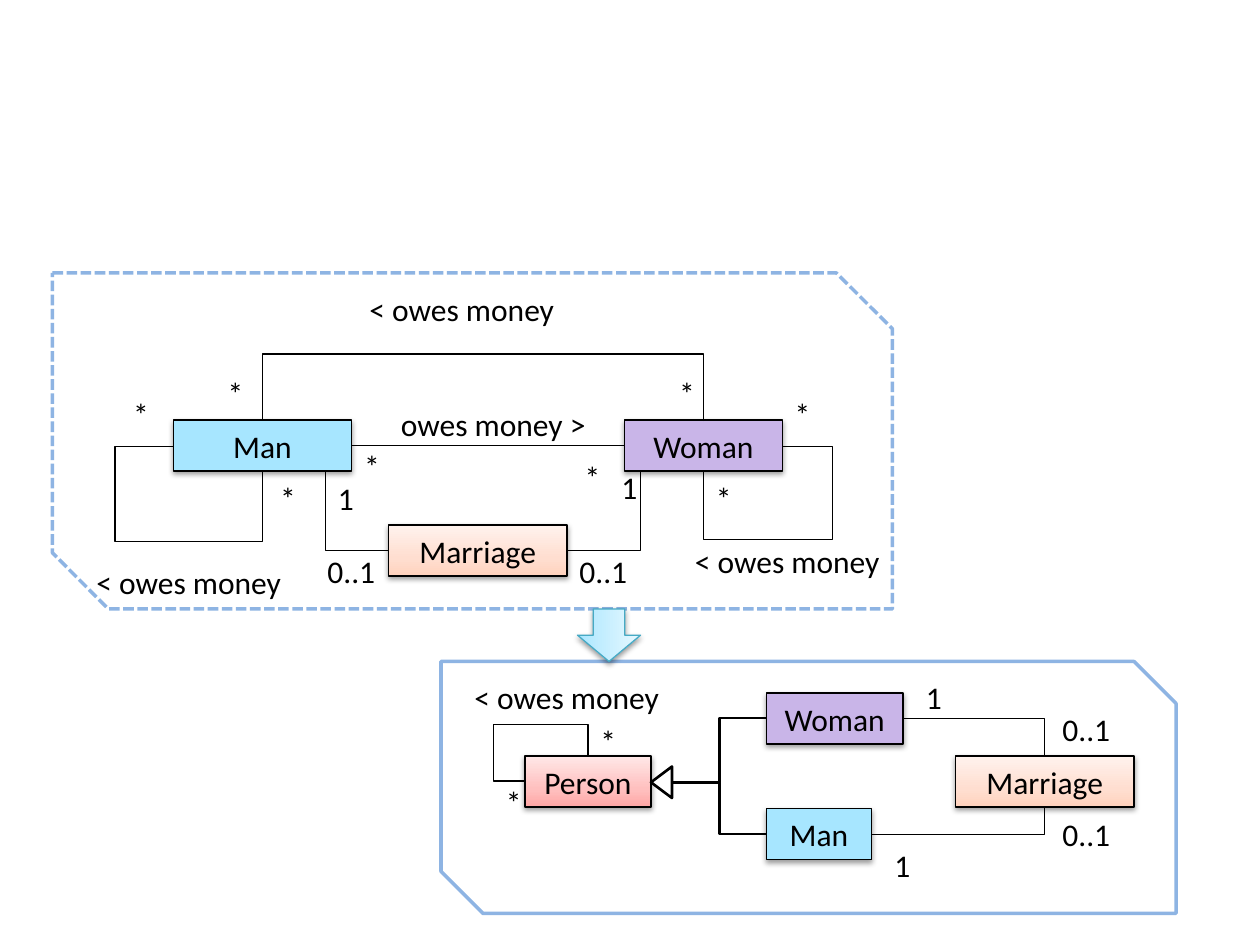
import copy

import pptx
import pptx.util
from lxml import etree
from pptx.dml.color import RGBColor
from pptx.enum.dml import MSO_LINE
from pptx.enum.shapes import MSO_CONNECTOR, MSO_SHAPE
from pptx.enum.text import MSO_ANCHOR, PP_ALIGN
from pptx.oxml.ns import qn

COLORS = {
    "ink": "000000", "paper": "FFFFFF", "frame": "8EB4E3",
    "man": "A7E6FF", "woman": "C9B5E8", "arrow line": "46AAC5",
}
GRADIENTS = {
    "marriage": ("FFD2BD", "FFDED0", "FFF2ED"),
    "person": ("FFA6A5", "FFC0BF", "FFE7E7"),
    "arrow": ("A7E6FF", "C1EDFF", "E7F8FF"),
}
STOPS = (0, 0.35, 1)

# All positions are in grid cells: 240 columns by 180 rows on the slide.
COLUMNS, ROWS = 240, 180
BOX_H = 9.7

# left, top, width, height, dash
PANELS = [(84, 126, 140, 48, None), (10, 52, 160, 64, MSO_LINE.SQUARE_DOT)]

# key: text, fill, left, top, width
CLASSES = {
    "man before": ("Man", "man", 33, 80, 34),
    "woman before": ("Woman", "woman", 119, 80, 30),
    "marriage before": ("Marriage", "marriage", 74, 100, 34),
    "person": ("Person", "person", 100, 144, 24),
    "man after": ("Man", "man", 146, 154, 20),
    "woman after": ("Woman", "woman", 146, 132, 26),
    "marriage after": ("Marriage", "marriage", 182, 144, 34),
}

# line width, corner points from start to end
ROUTES = [
    (0.75, [(134, 80.2), (134, 67.3), (50, 67.3), (50, 80)]),
    (0.75, [(50, 89.7), (50, 103.2), (21.9, 103.2), (21.9, 85), (33, 85)]),
    (0.75, [(149, 85), (158.6, 85), (158.6, 102.8), (134, 102.8), (134, 89.7)]),
    (0.75, [(74, 104.9), (62, 104.9), (62, 90)]),
    (0.75, [(108, 104.9), (122, 104.9), (122, 90)]),
    (1.5, [(128, 149), (137, 149), (137, 158.9), (146, 158.9)]),
    (1.5, [(128, 149), (137, 149), (137, 136.8), (146, 136.8)]),
    (0.75, [(199, 153.7), (199, 158.9), (166, 158.9)]),
    (0.75, [(199, 144), (199, 136.8), (172, 136.8)]),
    (0.75, [(100, 148.8), (94, 148.8), (94, 138), (112, 138), (112, 144)]),
]

# text, width, (left, top) of each label
LABELS = [
    ("owes money >", 56, [(74, 76)]),
    ("< owes money", 51, [(68, 54), (130, 102), (16, 106), (88, 128)]),
    ("*", 8, [(109, 86), (149, 74), (134, 90), (127, 70), (67, 84), (51, 90),
              (41, 70), (23, 74), (112, 136.4), (94, 148)]),
    ("1", 8, [(174, 128), (168, 160), (116, 88), (62, 90)]),
    ("0..1", 14, [(108, 104), (60, 104), (200, 134), (200, 154)]),
]

prs = pptx.Presentation()
prs.slide_width, prs.slide_height = pptx.util.Inches(10), pptx.util.Inches(7.5)
CELL = prs.slide_width / COLUMNS
slide = prs.slides.add_slide(prs.slide_layouts[6])
shapes = slide.shapes


def cells(*values):
    return [round(v * CELL) for v in values]


def rgb(name):
    return RGBColor.from_string(COLORS[name])


def paint(sp, fill, line, width):
    sp.shadow.inherit = False
    if fill in GRADIENTS:
        sp.fill.gradient()
        sp.fill.gradient_angle = 90
        stops = sp._element.spPr.find(".//" + qn("a:gsLst"))
        stops.insert(1, copy.deepcopy(stops[0]))
        for stop, position, color in zip(sp.fill.gradient_stops, STOPS, GRADIENTS[fill]):
            stop.position = position
            stop.color.rgb = RGBColor.from_string(color)
    else:
        sp.fill.solid()
        sp.fill.fore_color.rgb = rgb(fill)
    sp.line.color.rgb = rgb(line)
    sp.line.width = pptx.util.Pt(width)


def drop_shadow(sp):
    effects = sp._element.spPr.find(qn("a:effectLst"))
    shadow = etree.SubElement(effects, qn("a:outerShdw"), blurRad="40000", dist="20000",
                              dir="5400000", rotWithShape="0")
    color = etree.SubElement(shadow, qn("a:srgbClr"), val=COLORS["ink"])
    etree.SubElement(color, qn("a:alpha"), val="38000")


def write(sp, text):
    tf = sp.text_frame
    tf.word_wrap = True
    p = tf.paragraphs[0]
    p.text = text
    p.font.name, p.font.size = "Calibri", pptx.util.Pt(18)
    p.font.color.rgb = rgb("ink")
    return tf


def connect(kind, start, end, width):
    c = shapes.add_connector(kind, *cells(*start, *end))
    c.line.color.rgb = rgb("ink")
    c.line.width = pptx.util.Pt(width)
    etree.SubElement(c._element.spPr, qn("a:effectLst"))
    return c


def elbow(points, width):
    """Bent connector through the given corners; its preset follows from their number."""
    start, end = points[0], points[-1]
    c = connect(MSO_CONNECTOR.ELBOW, start, end, width)
    geom = c._element.spPr.find(qn("a:prstGeom"))
    geom.set("prst", f"bentConnector{len(points) - 1}")
    first = 0 if start[1] == points[1][1] else 1
    guides = geom.find(qn("a:avLst"))
    if guides is None:
        guides = etree.SubElement(geom, qn("a:avLst"))
    for i, corner in enumerate(points[1:-2]):
        axis = (first + i) % 2
        share = (corner[axis] - start[axis]) / (end[axis] - start[axis])
        etree.SubElement(guides, qn("a:gd"), name=f"adj{i + 1}",
                         fmla=f"val {round(share * 100000)}")
        if i == 1:
            break
    if first == 1:  # leaves vertically: same preset turned by a quarter
        dx, dy = end[0] - start[0], end[1] - start[1]
        mid_x, mid_y = (start[0] + end[0]) / 2, (start[1] + end[1]) / 2
        w, h = abs(dy), abs(dx)
        c.left, c.top, c.width, c.height = cells(mid_x - w / 2, mid_y - h / 2, w, h)
        xfrm = c._element.spPr.find(qn("a:xfrm"))
        xfrm.set("rot", "5400000")
        xfrm.set("flipH", str(int(dy < 0)))
        xfrm.set("flipV", str(int(dx > 0)))


for *place, dash in PANELS:
    panel = shapes.add_shape(MSO_SHAPE.SNIP_2_DIAG_RECTANGLE, *cells(*place))
    paint(panel, "paper", "frame", 2)
    if dash:
        panel.line.dash_style = dash

boxes = {}
for key, (text, fill, left, top, width) in CLASSES.items():
    sp = boxes[key] = shapes.add_shape(MSO_SHAPE.RECTANGLE, *cells(left, top, width, BOX_H))
    paint(sp, fill, "ink", 0.75)
    drop_shadow(sp)
    tf = write(sp, text)
    tf.vertical_anchor = MSO_ANCHOR.MIDDLE
    tf.paragraphs[0].alignment = PP_ALIGN.CENTER

owes = connect(MSO_CONNECTOR.STRAIGHT, (67, 85), (119, 85), 0.75)
owes.begin_connect(boxes["man before"], 3)
owes.end_connect(boxes["woman before"], 1)
for width, points in ROUTES:
    elbow(points, width)

triangle = shapes.add_shape(MSO_SHAPE.ISOSCELES_TRIANGLE, *cells(123, 147, 6, 4))
triangle.rotation = 270
paint(triangle, "paper", "ink", 1.5)

for text, width, places in LABELS:
    for left, top in places:
        write(shapes.add_textbox(*cells(left, top, width, BOX_H)), text)

arrow = shapes.add_shape(MSO_SHAPE.RIGHT_ARROW, *cells(111, 115, 10, 12))
arrow.rotation = 90
paint(arrow, "arrow", "arrow line", 0.75)
drop_shadow(arrow)

prs.save("out.pptx")
